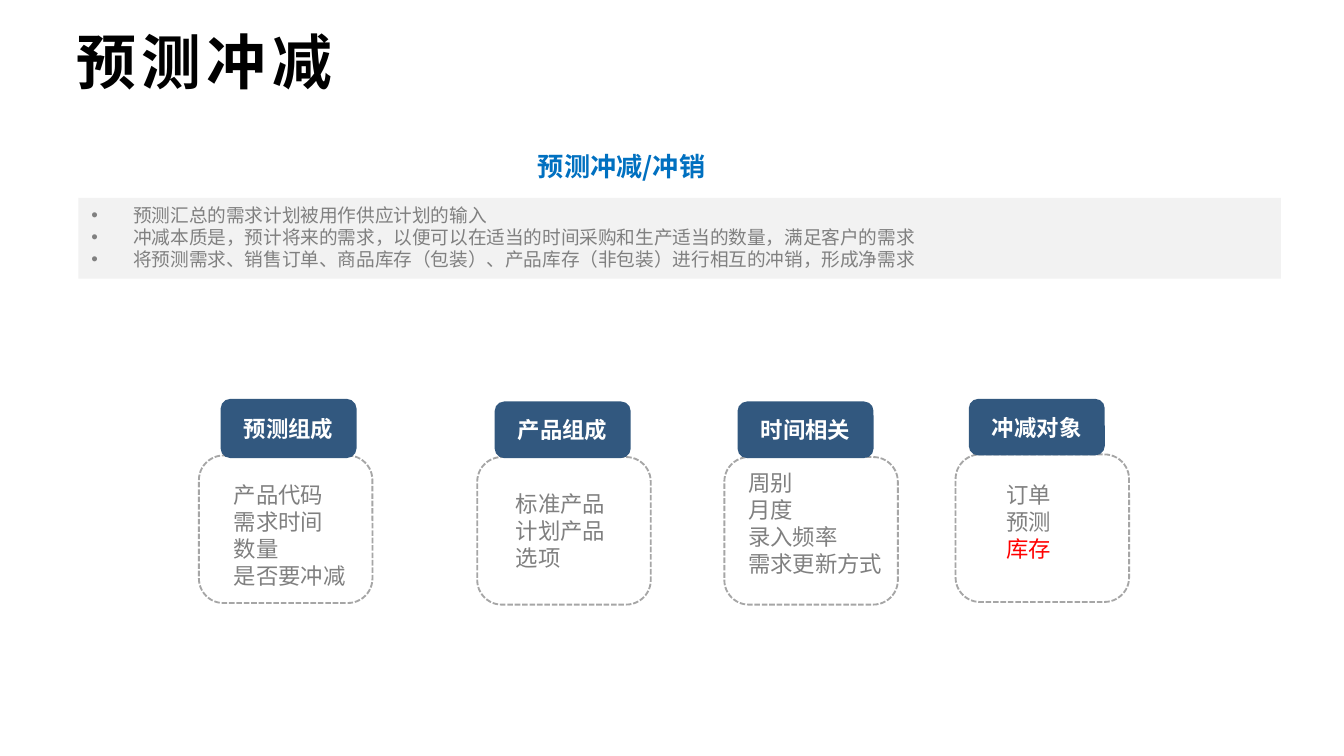
from dataclasses import dataclass

from lxml.etree import SubElement
from pptx import Presentation
from pptx.dml.color import RGBColor
from pptx.enum.dml import MSO_LINE
from pptx.enum.shapes import MSO_SHAPE
from pptx.enum.text import MSO_ANCHOR, PP_ALIGN
from pptx.oxml.ns import qn
from pptx.util import Cm, Pt

COLOURS = {
    "title": "000000",
    "heading": "0070C0",
    "body": "808080",
    "alert": "FF0000",
    "bar": "F2F2F2",
    "label": "32587F",
    "label text": "FFFFFF",
    "outline": "A6A6A6",
}
CJK_FONT = "Noto Sans CJK SC"


@dataclass
class Area:
    left: float
    top: float
    width: float
    height: float

    def lengths(self) -> list[Cm]:
        return [Cm(value) for value in (self.left, self.top, self.width, self.height)]


@dataclass
class Style:
    size: float
    colour: str
    bold: bool = False
    font: str = CJK_FONT
    align: PP_ALIGN = PP_ALIGN.LEFT
    anchor: MSO_ANCHOR = MSO_ANCHOR.TOP
    wrap: bool = True
    line_height: float | None = None


@dataclass
class Card:
    label: str
    items: list[str]
    frame: tuple[float, float]
    label_area: Area
    text_area: Area
    alert: str = ""


TITLE = Style(32, "title", True, font="Arial", anchor=MSO_ANCHOR.MIDDLE)
HEADING = Style(14, "heading", True, align=PP_ALIGN.CENTER)
NOTES = Style(10, "body", line_height=11.8)
ITEMS = Style(12, "body", wrap=False, line_height=14.5)
LABEL = Style(12, "label text", True, align=PP_ALIGN.CENTER, anchor=MSO_ANCHOR.MIDDLE)

CARDS = [
    Card("预测组成", ["产品代码", "需求时间", "数量", "是否要冲减"], (3.76, 8.61),
         Area(4.17, 7.54, 2.57, 1.12), Area(4.17, 8.97, 2.9, 2.46)),
    Card("产品组成", ["标准产品", "计划产品", "选项"], (9.02, 8.64),
         Area(9.35, 7.59, 2.57, 1.07), Area(9.5, 9.14, 2.57, 1.8)),
    Card("时间相关", ["周别", "月度", "录入频率", "需求更新方式"], (13.69, 8.64),
         Area(13.94, 7.59, 2.57, 1.07), Area(13.89, 8.74, 3.15, 2.46)),
    Card("冲减对象", ["订单", "预测", "库存"], (18.06, 8.59),
         Area(18.31, 7.54, 2.57, 1.07), Area(18.77, 8.97, 2.29, 1.96), alert="库存"),
]


def colour(name: str) -> RGBColor:
    return RGBColor.from_string(COLOURS[name])


def write(box, lines: list[str], style: Style, alert: str = "") -> None:
    """Fill a box with one paragraph per line."""
    frame = box.text_frame
    frame.word_wrap = style.wrap
    frame.vertical_anchor = style.anchor
    for index, line in enumerate(lines):
        para = frame.paragraphs[0] if index == 0 else frame.add_paragraph()
        para.alignment = style.align
        if style.line_height:
            para.line_spacing = Pt(style.line_height)
        span = para.add_run()
        span.text = line
        formats = {"size": Pt(style.size), "bold": style.bold, "name": style.font}
        for name, value in formats.items():
            setattr(span.font, name, value)
        span.font.color.rgb = colour("alert" if line == alert else style.colour)
        SubElement(span.font._element, qn("a:ea"), typeface=CJK_FONT)


def add_text(shapes, area: Area, lines: list[str], style: Style, alert: str = ""):
    box = shapes.add_textbox(*area.lengths())
    write(box, lines, style, alert)
    return box


def add_panel(shapes, kind: MSO_SHAPE, area: Area, fill: str = "", outline: str = ""):
    """Add a flat shape with an optional fill and dashed outline."""
    panel = shapes.add_shape(kind, *area.lengths())
    panel.shadow.inherit = False
    if fill:
        panel.fill.solid()
        panel.fill.fore_color.rgb = colour(fill)
    else:
        panel.fill.background()
    if outline:
        panel.line.color.rgb = colour(outline)
        panel.line.width = Pt(1)
        panel.line.dash_style = MSO_LINE.SQUARE_DOT
    else:
        panel.line.fill.background()
    return panel


def add_bullets(box, indent: Cm) -> None:
    for para in box.text_frame.paragraphs:
        properties = para._p.get_or_add_pPr()
        properties.set("marL", str(indent))
        properties.set("indent", str(-indent))
        SubElement(properties, qn("a:buFont"), typeface="Arial")
        SubElement(properties, qn("a:buChar"), char="•")


def add_card(page, card: Card) -> None:
    shapes = page.shapes.add_group_shape().shapes
    rounded = MSO_SHAPE.ROUNDED_RECTANGLE
    add_panel(shapes, rounded, Area(*card.frame, 3.28, 2.79), outline="outline")
    add_text(shapes, card.text_area, card.items, ITEMS, card.alert)
    label = add_panel(shapes, rounded, card.label_area, fill="label")
    write(label, [card.label], LABEL)


def main() -> None:
    deck = Presentation()
    deck.slide_width, deck.slide_height = Cm(25.4), Cm(14.29)
    page = deck.slides.add_slide(deck.slide_layouts[6])

    # Title with wide letter spacing
    title = add_text(page.shapes, Area(1.19, 0.41, 19.35, 1.47), ["预测冲减"], TITLE)
    para = title.text_frame.paragraphs[0]
    para.space_before = Pt(7.5)
    para.runs[0].font._element.set("spc", "300")

    # Heading and explanation bar
    add_text(page.shapes, Area(7.29, 2.72, 8.92, 0.86), ["预测冲减/冲销"], HEADING)
    bar = add_panel(page.shapes, MSO_SHAPE.RECTANGLE, Area(1.48, 3.74, 22.73, 1.53), fill="bar")
    write(bar, [
        "预测汇总的需求计划被用作供应计划的输入",
        "冲减本质是，预计将来的需求，以便可以在适当的时间采购和生产适当的数量，满足客户的需求",
        "将预测需求、销售订单、商品库存（包装）、产品库存（非包装）进行相互的冲销，形成净需求",
    ], NOTES)
    bar.text_frame.vertical_anchor = MSO_ANCHOR.TOP
    add_bullets(bar, Cm(0.79))

    # Four topic cards
    for card in CARDS:
        add_card(page, card)

    deck.save("out.pptx")


if __name__ == "__main__":
    main()
